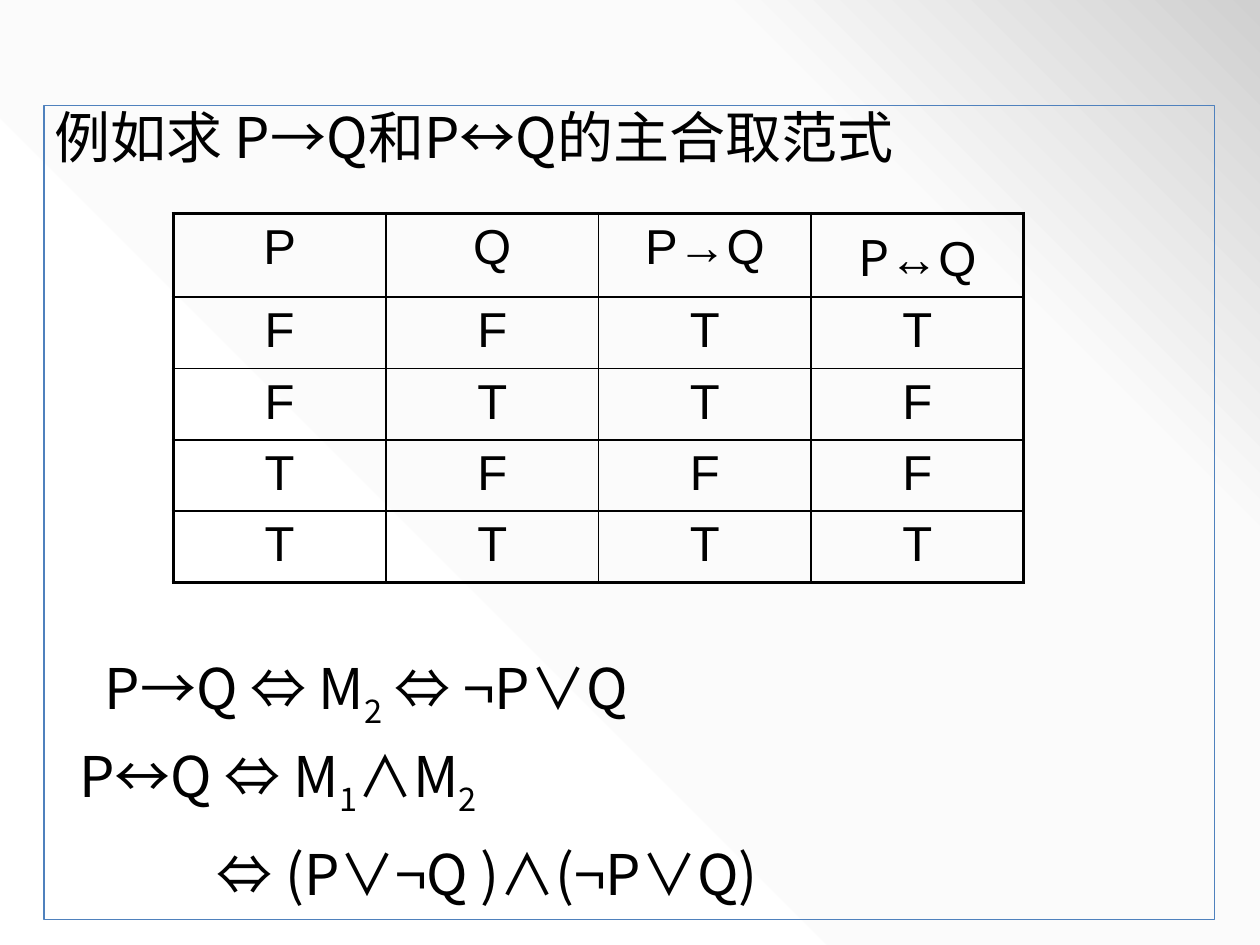
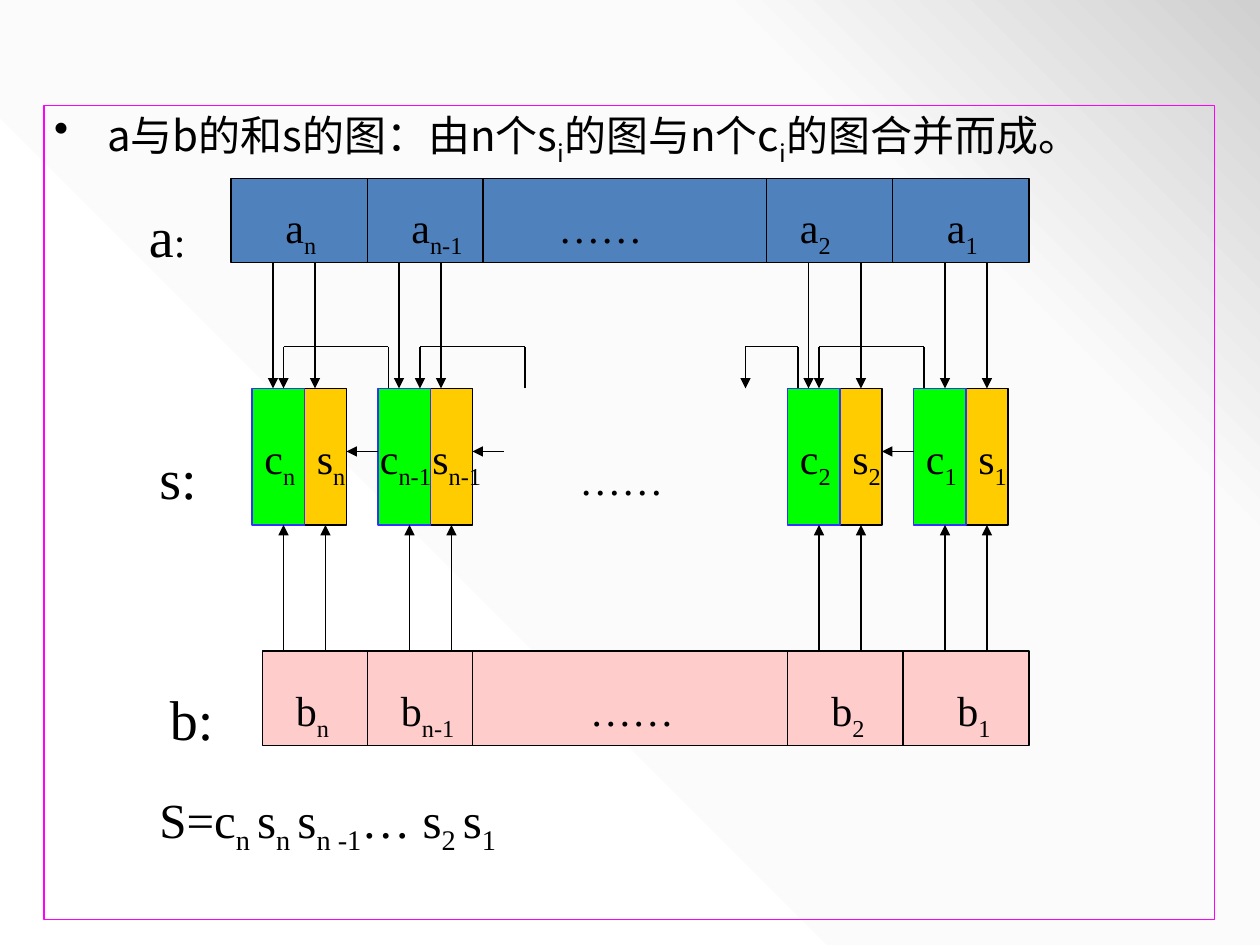
from lxml.etree import SubElement
from pptx import Presentation
from pptx.dml.color import RGBColor
from pptx.enum.shapes import MSO_CONNECTOR, MSO_SHAPE
from pptx.enum.text import MSO_ANCHOR, PP_ALIGN
from pptx.oxml.ns import qn
from pptx.util import Emu, Inches, Pt

# The slide is a grid of 120 columns by 90 rows
WIDE, HIGH = Inches(10), Inches(7.5)
UNIT = WIDE // 120
FRAME = (4.2, 10.05, 111.5, 77.5)

BLACK = RGBColor(0x00, 0x00, 0x00)
BLUE = RGBColor(0x4F, 0x81, 0xBD)
PINK = RGBColor(0xFF, 0x00, 0xFF)
ROSE = RGBColor(0xFF, 0xCC, 0xCC)
GOLD = RGBColor(0xFF, 0xCC, 0x00)
GREEN = RGBColor(0x00, 0xFF, 0x00)
INDIGO = RGBColor(0x33, 0x33, 0xFF)
FADE = {0: "FFFFFF", 75: "FBFBFB", 100: "D0D0D0"}

SANS, SERIF, ARIAL = "Noto Sans CJK SC", "Times New Roman", "Arial"


def grid(*spans):
    return [Emu(round(span * UNIT)) for span in spans]


def style(run, face, size):
    for name, value in {"name": face, "size": Pt(size)}.items():
        setattr(run.font, name, value)
    run.font.color.rgb = BLACK
    SubElement(run._r.get_or_add_rPr(), qn("a:ea"), typeface=face)


def write(para, text, face, size):
    """Add runs; every second part between bars is a subscript."""
    for i, part in enumerate(text.split("|")):
        if part:
            run = para.add_run()
            run.text = part
            style(run, face, size)
            if i % 2:
                run._r.get_or_add_rPr().set("baseline", "-25000")


def inset(frame, side, top):
    margins = {"margin_left": side, "margin_right": side,
               "margin_top": top, "margin_bottom": top}
    for name, value in margins.items():
        setattr(frame, name, Inches(value))
    frame.word_wrap = True
    frame.vertical_anchor = MSO_ANCHOR.TOP


def paint(master):
    """Give every slide the diagonal fade."""
    fill = master.background.fill
    fill.gradient()
    fill.gradient_angle = 45
    stops = master.element.find(".//" + qn("a:gsLst"))
    for stop in list(stops):
        stops.remove(stop)
    for share, tint in FADE.items():
        stop = SubElement(stops, qn("a:gs"), pos=str(share * 1000))
        SubElement(stop, qn("a:srgbClr"), val=tint)


def box(slide, x, y, w, h, fill, edge):
    shape = slide.shapes.add_shape(MSO_SHAPE.RECTANGLE, *grid(x, y, w, h))
    shape.shadow.inherit = False
    if fill is None:
        shape.fill.background()
    else:
        shape.fill.solid()
        shape.fill.fore_color.rgb = fill
    shape.line.color.rgb = edge
    shape.line.width = Pt(0.75)
    return shape


def head(slide, text, size, edge, bullet=False):
    """Draw the body frame with its opening line."""
    frame = box(slide, *FRAME, None, edge).text_frame
    inset(frame, 0.08, 0.04)
    para = frame.paragraphs[0]
    para.alignment = PP_ALIGN.LEFT
    para.line_spacing = 0.9
    if bullet:
        props = para._p.get_or_add_pPr()
        props.set("marL", str(Inches(0.42)))
        props.set("indent", str(-Inches(0.42)))
        SubElement(props, qn("a:buChar"), char="•")
    write(para, text, SANS, size)


def label(slide, x, y, text, w=7, size=24):
    frame = slide.shapes.add_textbox(*grid(x, y, w, 6)).text_frame
    inset(frame, 0.1, 0.1)
    write(frame.paragraphs[0], text, SERIF, size)
    return frame


def link(slide, start, end, arrow=True, cells=()):
    """Draw a line and join it to any cell whose side middle it meets."""
    wire = slide.shapes.add_connector(
        MSO_CONNECTOR.STRAIGHT, *grid(*start), *grid(*end))
    wire.line.color.rgb = BLACK
    wire.line.width = Pt(0.75)
    if arrow:
        SubElement(wire.line._get_or_add_ln(), qn("a:tailEnd"), type="triangle")
    SubElement(wire._element.spPr, qn("a:effectLst"))
    for cell in cells:
        mid = cell.left + cell.width // 2
        for side, y in ((0, cell.top), (2, cell.top + cell.height)):
            if grid(*end) == [mid, y]:
                wire.end_connect(cell, side)


def border(cell, widths):
    props = cell._tc.get_or_add_tcPr()
    for i, (side, width) in enumerate(widths.items()):
        line = SubElement(props, qn("a:ln" + side), w=str(Pt(width)))
        SubElement(SubElement(line, qn("a:solidFill")),
                   qn("a:srgbClr"), val=str(BLACK))
        props.remove(line)
        props.insert(i, line)


def truth(slide, rows):
    """Draw the truth table with a heavy outer border."""
    tall, wide = len(rows), len(rows[0])
    table = slide.shapes.add_table(
        tall, wide, *grid(16.5, 20.35, 81, 6.8 * tall)).table
    table.first_row = table.horz_banding = False
    for r, row in enumerate(rows):
        for c, text in enumerate(row):
            cell = table.cell(r, c)
            cell.fill.background()
            para = cell.text_frame.paragraphs[0]
            para.alignment = PP_ALIGN.CENTER
            if text == "P↔Q":
                write(para, "P", SANS, 28)
                text = "↔Q"
            write(para, text, ARIAL, 28)
            edges = {"L": c == 0, "R": c == wide - 1,
                     "T": r == 0, "B": r == tall - 1}
            border(cell, {k: 2.25 if outer else 1 for k, outer in edges.items()})


def proof(slide, lines):
    """Set the formulas, each with its own indent in inches."""
    frame = slide.shapes.add_textbox(*grid(4.2, 60.7, 111.5, 26)).text_frame
    inset(frame, 0.08, 0.04)
    for i, (text, indent) in enumerate(lines):
        para = frame.add_paragraph() if i else frame.paragraphs[0]
        para._p.get_or_add_pPr().set("marL", str(Inches(indent)))
        para.line_spacing = Pt(50.3)
        write(para, text, SANS, 32)


def strip(slide, area, fill, cuts, names, y):
    """Draw one number as a bar cut into digits."""
    box(slide, *area, fill, BLACK)
    top, base = area[1], area[1] + area[3]
    for x in cuts:
        link(slide, (x, top), (x, base), arrow=False)
    for x, text in names:
        label(slide, x, y, text, w=14 if text == "……" else 10)


def adder(slide, x, sub, above, below):
    """Draw one carry and sum pair, with the arrows that feed it."""
    shift = 1 if sub == "n-1" else 0
    cells = []
    for name, left, w, fill, edge in (("s", x + 5, 4, GOLD, BLACK),
                                      ("c", x, 5, GREEN, INDIGO)):
        cells.append(box(slide, left, 37, w, 13, fill, edge))
        label(slide, left - shift, 40, f"{name}|{sub}|", w=7 + shift)
    for col in above:
        link(slide, (col, 25), (col, 37), cells=cells)
    for col in below:
        link(slide, (col, 62), (col, 50), cells=cells)


def carry(slide, start, end):
    link(slide, (start, 37), (start, 33), arrow=False)
    link(slide, (start, 33), (end, 33), arrow=False)
    link(slide, (end, 33), (end, 37))


def norm(slide):
    head(slide, "例如求 P→Q和P↔Q的主合取范式", 32, BLUE)
    truth(slide, [("P", "Q", "P→Q", "P↔Q"), *("FFTT", "FTTF", "TFFF", "TTTT")])
    proof(slide, [("P→Q ⇔ M|2| ⇔ ¬P∨Q", 0.4),
                  ("P↔Q ⇔ M|1|∧M|2|", 0.2),
                  ("⇔ (P∨¬Q )∧(¬P∨Q)", 1.29)])


def total(slide):
    head(slide, "a与b的和s的图：由n个s|i|的图与n个c|i|的图合并而成。", 24, PINK, True)
    # The two numbers
    strip(slide, (22, 17, 76, 8), BLUE, (35, 46, 73, 85),
          [(26, "a|n|"), (38, "a|n-1|"), (52, "……"), (75, "a|2|"), (89, "a|1|")], 18)
    strip(slide, (25, 62, 73, 9), ROSE, (35, 45, 75, 86),
          [(27, "b|n|"), (37, "b|n-1|"), (55, "……"), (78, "b|2|"), (90, "b|1|")], 64)
    # Carry and sum cells
    adder(slide, 87, "1", (90, 94), (90, 94))
    adder(slide, 75, "2", (77, 82), (78, 82))
    adder(slide, 36, "n-1", (38, 42), (39, 43))
    adder(slide, 24, "n", (26, 30), (27, 31))
    for start, end in ((88, 78), (76, 71), (50, 40), (37, 27)):
        carry(slide, start, end)
    for x in (87, 48, 36):
        link(slide, (x, 43), (x - 3, 43))
    # Row names and result
    name = label(slide, 13, 18, "a", size=32)
    write(name.paragraphs[0], ":", SERIF, 24)
    label(slide, 14, 41, "s:", size=32)
    label(slide, 15, 64, "b:", size=32)
    label(slide, 54, 42, "……", w=14)
    label(slide, 14, 74, "S=c|n |s|n |s|n -1|… s|2 |s|1|", w=41, size=28)


def main():
    deck = Presentation()
    deck.slide_width, deck.slide_height = WIDE, HIGH
    paint(deck.slide_master)
    for build in (norm, total):
        build(deck.slides.add_slide(deck.slide_layouts[6]))
    deck.save("out.pptx")


if __name__ == "__main__":
    main()
